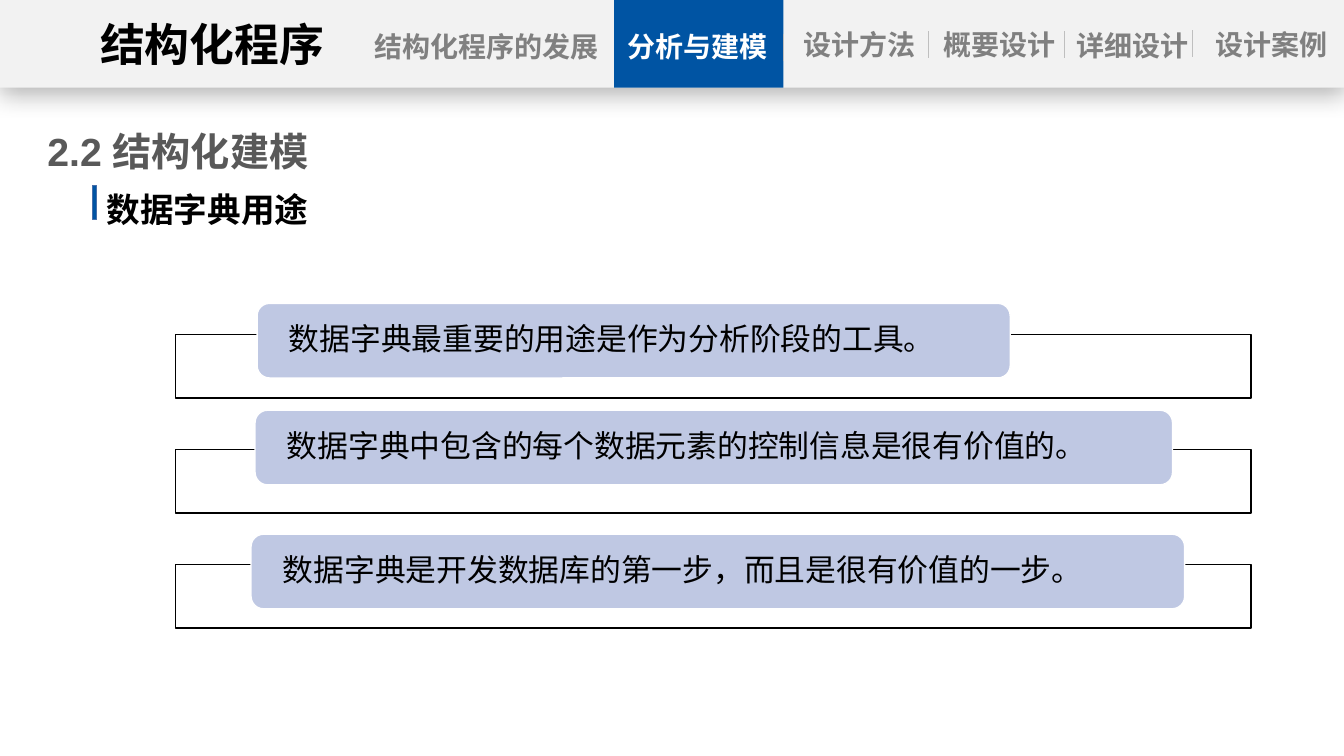
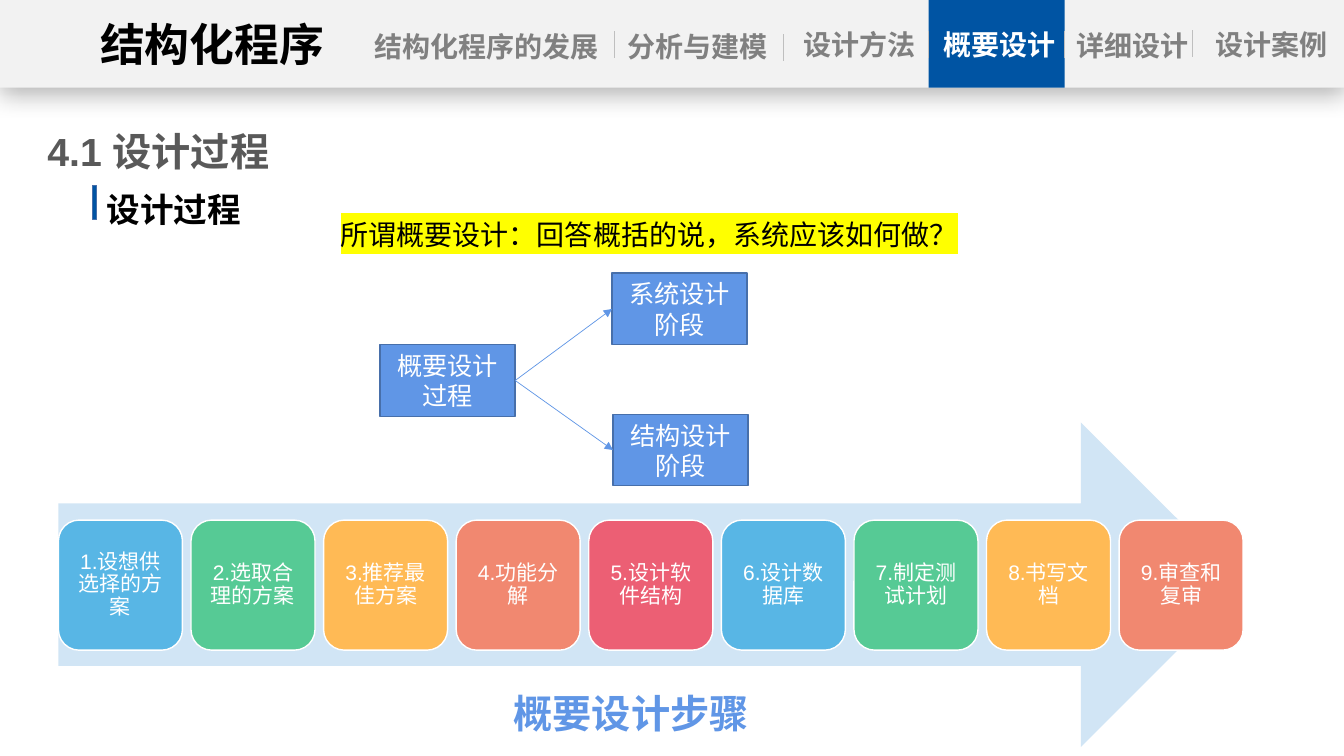
from itertools import cycle

from lxml import etree
from pptx import Presentation
from pptx.dml.color import RGBColor
from pptx.enum.lang import MSO_LANGUAGE_ID
from pptx.enum.shapes import MSO_CONNECTOR, MSO_SHAPE
from pptx.enum.text import MSO_ANCHOR, PP_ALIGN
from pptx.oxml.ns import qn
from pptx.util import Inches, Pt

RECT = MSO_SHAPE.RECTANGLE
ROUNDED = MSO_SHAPE.ROUNDED_RECTANGLE
RIGHT_ARROW = MSO_SHAPE.RIGHT_ARROW
STRAIGHT = MSO_CONNECTOR.STRAIGHT
LEFT, CENTER = PP_ALIGN.LEFT, PP_ALIGN.CENTER
TOP, MIDDLE = MSO_ANCHOR.TOP, MSO_ANCHOR.MIDDLE
CHINESE = MSO_LANGUAGE_ID.SIMPLIFIED_CHINESE
LEFT_SIDE, RIGHT_SIDE = 1, 3

BLACK = RGBColor(0x00, 0x00, 0x00)
WHITE = RGBColor(0xFF, 0xFF, 0xFF)
BAND_GRAY = RGBColor(0xF2, 0xF2, 0xF2)
DIVIDER_GRAY = RGBColor(0xBF, 0xBF, 0xBF)
TAB_GRAY = RGBColor(0x80, 0x80, 0x80)
HEADING_GRAY = RGBColor(0x59, 0x59, 0x59)
DEEP_BLUE = RGBColor(0x00, 0x54, 0xA3)
OUTLINE_BLUE = RGBColor(0x47, 0x6F, 0xAA)
BLUE = RGBColor(0x60, 0x96, 0xE6)
LAVENDER = RGBColor(0xBF, 0xC8, 0xE3)
PALE_BLUE = RGBColor(0xD1, 0xE5, 0xF5)
YELLOW = RGBColor(0xFF, 0xFF, 0x00)
STEP_COLORS = (
    RGBColor(0x58, 0xB6, 0xE5),
    RGBColor(0x56, 0xCA, 0x95),
    RGBColor(0xFF, 0xBA, 0x55),
    RGBColor(0xF1, 0x88, 0x70),
    RGBColor(0xEC, 0x5F, 0x74),
)

SLIDE_WIDTH, SLIDE_HEIGHT = 13.33, 7.5
BAND_HEIGHT = 0.87
DEFAULT_INSETS = (0.1, 0.05, 0.1, 0.05)
FLUSH_INSETS = (0, 0.05, 0, 0.05)

# label, left, top, width
TABS = (
    ("结构化程序的发展", 3.64, 0.24, 2.37),
    ("分析与建模", 6.18, 0.24, 1.47),
    ("设计方法", 7.79, 0.22, 1.47),
    ("概要设计", 9.18, 0.22, 1.47),
    ("详细设计", 10.47, 0.23, 1.52),
    ("设计案例", 11.88, 0.22, 1.47),
)
# Divider i stands between tab i and tab i + 1: x, top
DIVIDERS = ((6.09, 0.31), (7.77, 0.34), (9.21, 0.31), (10.56, 0.31), (11.83, 0.3))
DIVIDER_HEIGHT = 0.27

# text, left, top, width
DICTIONARY_USES = (
    ("数据字典最重要的用途是作为分析阶段的工具。", 2.55, 3.01, 7.47),
    ("数据字典中包含的每个数据元素的控制信息是很有价值的。", 2.53, 4.07, 9.1),
    ("数据字典是开发数据库的第一步，而且是很有价值的一步。", 2.49, 5.3, 9.26),
)
DESIGN_STEPS = (
    "1.设想供选择的方案",
    "2.选取合理的方案",
    "3.推荐最佳方案",
    "4.功能分解",
    "5.设计软件结构",
    "6.设计数据库",
    "7.制定测试计划",
    "8.书写文档",
    "9.审查和复审",
)


def write(shape, text, size, color, bold=False, align=LEFT, anchor=TOP,
          insets=DEFAULT_INSETS, spacing=1.0, wrap=True):
    """Put one formatted paragraph in a shape and return its run."""
    left, top, right, bottom = map(Inches, insets)
    frame = shape.text_frame
    frame_format = {
        "word_wrap": wrap, "vertical_anchor": anchor, "margin_left": left,
        "margin_top": top, "margin_right": right, "margin_bottom": bottom,
    }
    for name, value in frame_format.items():
        setattr(frame, name, value)
    paragraph = frame.paragraphs[0]
    paragraph.alignment = align
    paragraph.line_spacing = spacing
    run = paragraph.add_run()
    run.text = text
    run_format = {"name": "Arial", "size": Pt(size), "bold": bold,
                  "language_id": CHINESE}
    for name, value in run_format.items():
        setattr(run.font, name, value)
    run.font.color.rgb = color
    return run


def add_label(slide, box, text, size, color, **style):
    textbox = slide.shapes.add_textbox(*map(Inches, box))
    return write(textbox, text, size, color, **style)


def add_block(slide, preset, box, fill, outline=None):
    block = slide.shapes.add_shape(preset, *map(Inches, box))
    block.shadow.inherit = False
    block.fill.solid()
    block.fill.fore_color.rgb = fill
    if outline is None:
        block.line.fill.background()
    else:
        block.line.color.rgb = outline
        block.line.width = Pt(1)
    return block


def add_line(slide, start, end, color):
    line = slide.shapes.add_connector(STRAIGHT, *map(Inches, (*start, *end)))
    line.line.color.rgb = color
    line.line.width = Pt(0.5)
    etree.SubElement(line._element.spPr, qn("a:effectLst"))
    return line


def add_arrow(slide, source, target):
    """Join the right side of source to the left side of target."""
    arrow = add_line(slide, (0, 0), (1, 1), BLUE)
    arrow.begin_connect(source, RIGHT_SIDE)
    arrow.end_connect(target, LEFT_SIDE)
    etree.SubElement(arrow.line._get_or_add_ln(), qn("a:tailEnd"), type="triangle")


def drop_shadow(shape):
    effects = shape._element.spPr.find(qn("a:effectLst"))
    shadow = etree.SubElement(
        effects, qn("a:outerShdw"), blurRad=str(Pt(18)), dist=str(Pt(4)),
        dir="5400000", algn="t", rotWithShape="0")
    color = etree.SubElement(shadow, qn("a:srgbClr"), val=str(BLACK))
    etree.SubElement(color, qn("a:alpha"), val="29000")


def highlight(run, color):
    mark = etree.Element(qn("a:highlight"))
    etree.SubElement(mark, qn("a:srgbClr"), val=str(color))
    run._r.rPr.find(qn("a:solidFill")).addnext(mark)


def add_divider(slide, x, top):
    add_line(slide, (x, top), (x, top + DIVIDER_HEIGHT), DIVIDER_GRAY)


def add_header(slide, active):
    """Draw the navigation band with the tab at index active lit."""
    band = add_block(slide, RECT, (0, 0, SLIDE_WIDTH, BAND_HEIGHT), BAND_GRAY)
    drop_shadow(band)
    add_divider(slide, *DIVIDERS[0])
    left, right = DIVIDERS[active - 1][0], DIVIDERS[active][0]
    add_block(slide, RECT, (left, 0, right - left, BAND_HEIGHT), DEEP_BLUE)
    for divider in DIVIDERS[1:]:
        add_divider(slide, *divider)
    add_label(slide, (0.91, 0.12, 2.39, 0.64), "结构化程序", 32, BLACK,
              bold=True, align=CENTER, insets=FLUSH_INSETS)
    for index, (label, x, top, width) in enumerate(TABS):
        color = WHITE if index == active else TAB_GRAY
        add_label(slide, (x, top, width, 0.44), label, 20, color,
                  bold=True, align=CENTER, insets=FLUSH_INSETS)


def add_headings(slide, section, topic):
    add_label(slide, (0.47, 1.21, 4.19, 0.58), section, 28, HEADING_GRAY,
              bold=True, insets=FLUSH_INSETS)
    add_block(slide, RECT, (0.92, 1.84, 0.04, 0.34), DEEP_BLUE, OUTLINE_BLUE)
    add_label(slide, (0.96, 1.83, 5.54, 0.5), topic, 24, BLACK, bold=True)


def add_dictionary_uses(slide):
    for row, (text, left, top, width) in enumerate(DICTIONARY_USES):
        add_block(slide, RECT, (1.74, 3.32 + 1.14 * row, 10.67, 0.63), WHITE, BLACK)
        use = add_block(slide, ROUNDED, (left, top, width, 0.74), LAVENDER, WHITE)
        write(use, text, 22, BLACK, anchor=MIDDLE,
              insets=(0.28, 0, 0.28, 0), spacing=0.9)


def add_stage(slide, left, top, text):
    stage = add_block(slide, RECT, (left, top, 1.34, 0.71), BLUE, OUTLINE_BLUE)
    write(stage, text, 18, WHITE, align=CENTER, anchor=MIDDLE)
    return stage


def add_design_stages(slide):
    process = add_stage(slide, 3.77, 3.42, "概要设计过程")
    system = add_stage(slide, 6.07, 2.71, "系统设计阶段")
    structure = add_stage(slide, 6.08, 4.11, "结构设计阶段")
    for stage in (system, structure):
        add_arrow(slide, process, stage)


def add_design_steps(slide):
    left, total, width = 0.58, 11.75, 1.23
    pitch = (total - width) / (len(DESIGN_STEPS) - 1)
    add_block(slide, RIGHT_ARROW, (left, 4.19, total, 3.22), PALE_BLUE)
    for index, (text, color) in enumerate(zip(DESIGN_STEPS, cycle(STEP_COLORS))):
        step = add_block(slide, ROUNDED, (left + pitch * index, 5.16, width, 1.29),
                         color, WHITE)
        write(step, text, 15, WHITE, align=CENTER, anchor=MIDDLE,
              insets=(0.06,) * 4, spacing=0.9)
    add_label(slide, (4.98, 6.79, 2.56, 0.57), "概要设计步骤", 28, BLUE,
              bold=True, align=CENTER, wrap=False)


def build_dictionary_slide(slide):
    add_headings(slide, "2.2 结构化建模", "数据字典用途")
    add_dictionary_uses(slide)
    add_header(slide, active=1)


def build_process_slide(slide):
    add_headings(slide, "4.1 设计过程", "设计过程")
    add_design_stages(slide)
    add_design_steps(slide)
    question = add_label(slide, (3.28, 2.11, 6.37, 0.44),
                         "所谓概要设计：回答概括的说，系统应该如何做？",
                         20, BLACK, wrap=False)
    highlight(question, YELLOW)
    add_header(slide, active=3)


def main():
    deck = Presentation()
    deck.slide_width = Inches(SLIDE_WIDTH)
    deck.slide_height = Inches(SLIDE_HEIGHT)
    blank = deck.slide_layouts[6]
    for build in (build_dictionary_slide, build_process_slide):
        build(deck.slides.add_slide(blank))
    deck.save("out.pptx")


if __name__ == "__main__":
    main()
